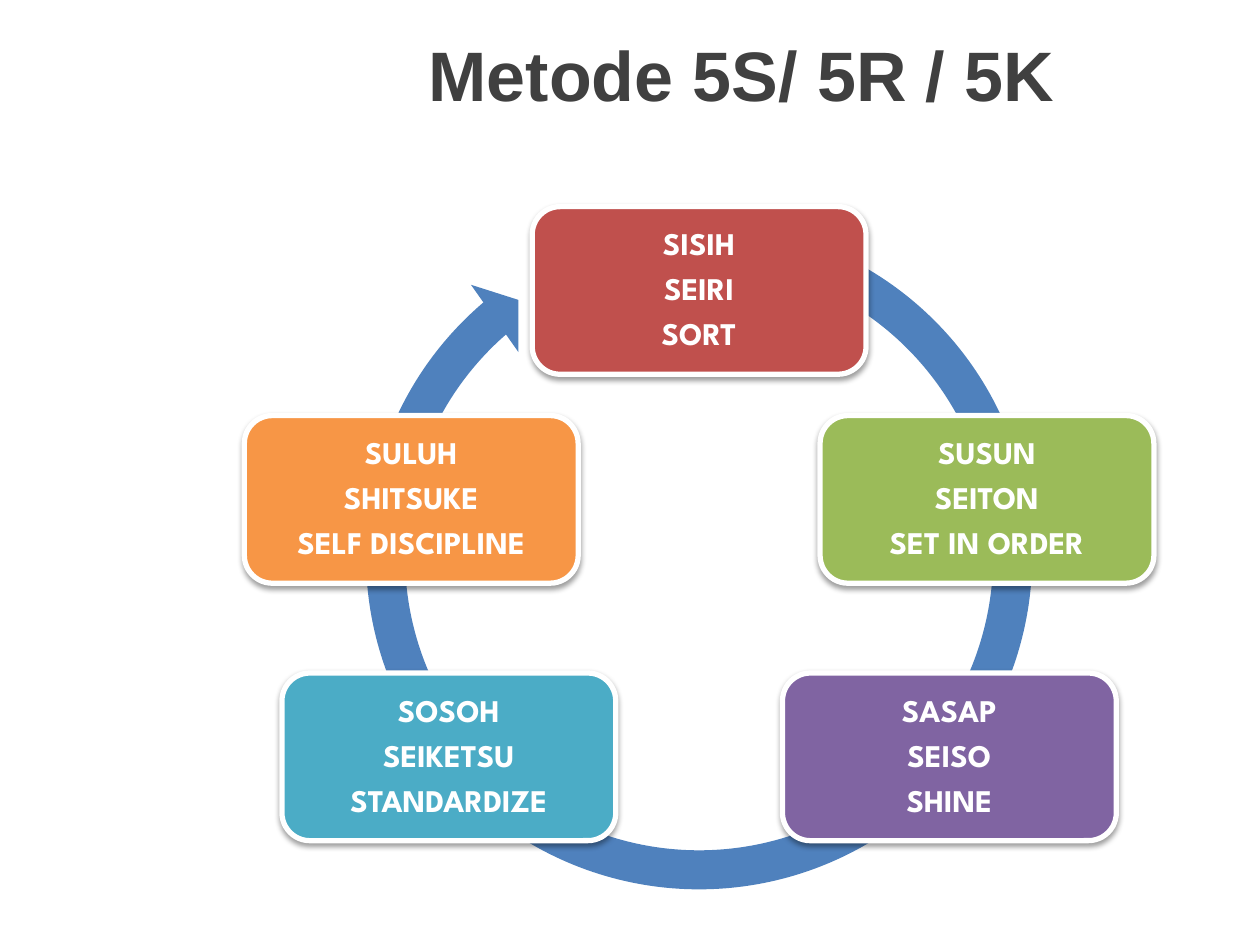
from lxml import etree
from pptx import Presentation
from pptx.dml.color import RGBColor
from pptx.enum.shapes import MSO_SHAPE
from pptx.enum.text import MSO_ANCHOR, PP_ALIGN
from pptx.oxml import parse_xml
from pptx.oxml.ns import nsdecls
from pptx.util import Pt

CIRCULAR_ARROW = MSO_SHAPE.CIRCULAR_ARROW
ROUNDED_RECTANGLE = MSO_SHAPE.ROUNDED_RECTANGLE
MIDDLE = MSO_ANCHOR.MIDDLE
CENTER = PP_ALIGN.CENTER

WHITE = RGBColor(0xFF, 0xFF, 0xFF)
DARK_GRAY = RGBColor(0x40, 0x40, 0x40)
BLUE = RGBColor(0x4F, 0x81, 0xBD)
RED = RGBColor(0xC0, 0x50, 0x4D)
GREEN = RGBColor(0x9B, 0xBB, 0x59)
PURPLE = RGBColor(0x80, 0x64, 0xA2)
TEAL = RGBColor(0x4B, 0xAC, 0xC6)
ORANGE = RGBColor(0xF7, 0x96, 0x46)

CYCLE_CENTER = 399.5
CYCLE_TOP = 115.2
CYCLE_SIZE = 405.4
STEP_WIDTH = 190.8
STEP_HEIGHT = 95.8
TOP_ROW, MIDDLE_ROW, BOTTOM_ROW = 118.1, 237.5, 384.6
MIDDLE_OFFSET, BOTTOM_OFFSET = 164.5, 143

STEPS = [
    (("SISIH", "SEIRI", "SORT"), RED, 0, TOP_ROW),
    (("SUSUN", "SEITON", "SET IN ORDER"), GREEN, MIDDLE_OFFSET, MIDDLE_ROW),
    (("SASAP", "SEISO", "SHINE"), PURPLE, BOTTOM_OFFSET, BOTTOM_ROW),
    (("SOSOH", "SEIKETSU", "STANDARDIZE"), TEAL, -BOTTOM_OFFSET, BOTTOM_ROW),
    (("SULUH", "SHITSUKE", "SELF DISCIPLINE"), ORANGE, -MIDDLE_OFFSET, MIDDLE_ROW),
]


def write_text(shape, lines, *, font, size, color, margin, line_spacing=1.0, space_after=0):
    """Write centred bold lines, one paragraph each, into a shape."""
    frame = shape.text_frame
    frame.word_wrap = True
    frame.vertical_anchor = MIDDLE
    frame.margin_left = frame.margin_right = Pt(margin)
    frame.margin_top = frame.margin_bottom = Pt(margin)
    frame.text = "\n".join(lines)
    for paragraph in frame.paragraphs:
        paragraph.alignment = CENTER
        paragraph.line_spacing = line_spacing
        paragraph.space_after = Pt(space_after)
        paragraph.font.name = font
        paragraph.font.size = Pt(size)
        paragraph.font.bold = True
        paragraph.font.color.rgb = color


def add_drop_shadow(shape):
    """Give a shape a soft shadow straight below it."""
    properties = shape.fill._xPr
    for effects in properties.findall("{*}effectLst"):
        properties.remove(effects)
    effects = parse_xml(f"<a:effectLst {nsdecls('a')}/>")
    shadow = etree.SubElement(
        effects, effects.tag.replace("effectLst", "outerShdw"),
        blurRad=str(Pt(3.15)), dist=str(Pt(1.6)), dir="5400000", rotWithShape="0")
    color = etree.SubElement(shadow, effects.tag.replace("effectLst", "srgbClr"), val="000000")
    etree.SubElement(color, effects.tag.replace("effectLst", "alpha"), val="38000")
    properties.append(effects)


def add_title(slide, text):
    """Place and format the slide title."""
    title = slide.shapes.title
    title.left, title.top, title.width, title.height = Pt(127.5), Pt(0), Pt(592.5), Pt(84)
    write_text(title, [text], font="Arial", size=40, color=DARK_GRAY, margin=3.6)


def add_cycle_arrow(slide):
    """Draw the circular arrow behind the steps."""
    arrow = slide.shapes.add_shape(
        CIRCULAR_ARROW, Pt(CYCLE_CENTER - CYCLE_SIZE / 2), Pt(CYCLE_TOP),
        Pt(CYCLE_SIZE), Pt(CYCLE_SIZE))
    for index, value in enumerate((0.055, 3.307, 137.594, 173.96, 0.058)):
        arrow.adjustments[index] = value
    arrow.shadow.inherit = False
    arrow.fill.solid()
    arrow.fill.fore_color.rgb = BLUE
    arrow.line.fill.background()


def add_step(slide, lines, color, offset, top):
    """Draw one step of the cycle, offset sideways from its centre."""
    step = slide.shapes.add_shape(
        ROUNDED_RECTANGLE, Pt(CYCLE_CENTER + offset - STEP_WIDTH / 2), Pt(top),
        Pt(STEP_WIDTH), Pt(STEP_HEIGHT))
    step.fill.solid()
    step.fill.fore_color.rgb = color
    step.line.color.rgb = WHITE
    step.line.width = Pt(3)
    add_drop_shadow(step)
    write_text(step, lines, font="League Spartan", size=18, color=WHITE, margin=5,
               line_spacing=0.9, space_after=6.3)


def main():
    """Build and save the slide."""
    presentation = Presentation()
    presentation.slide_width, presentation.slide_height = Pt(720), Pt(540)
    slide = presentation.slides.add_slide(presentation.slide_layouts[5])
    add_title(slide, "Metode 5S/ 5R / 5K")
    add_cycle_arrow(slide)
    for step in STEPS:
        add_step(slide, *step)
    presentation.save("out.pptx")


if __name__ == "__main__":
    main()
